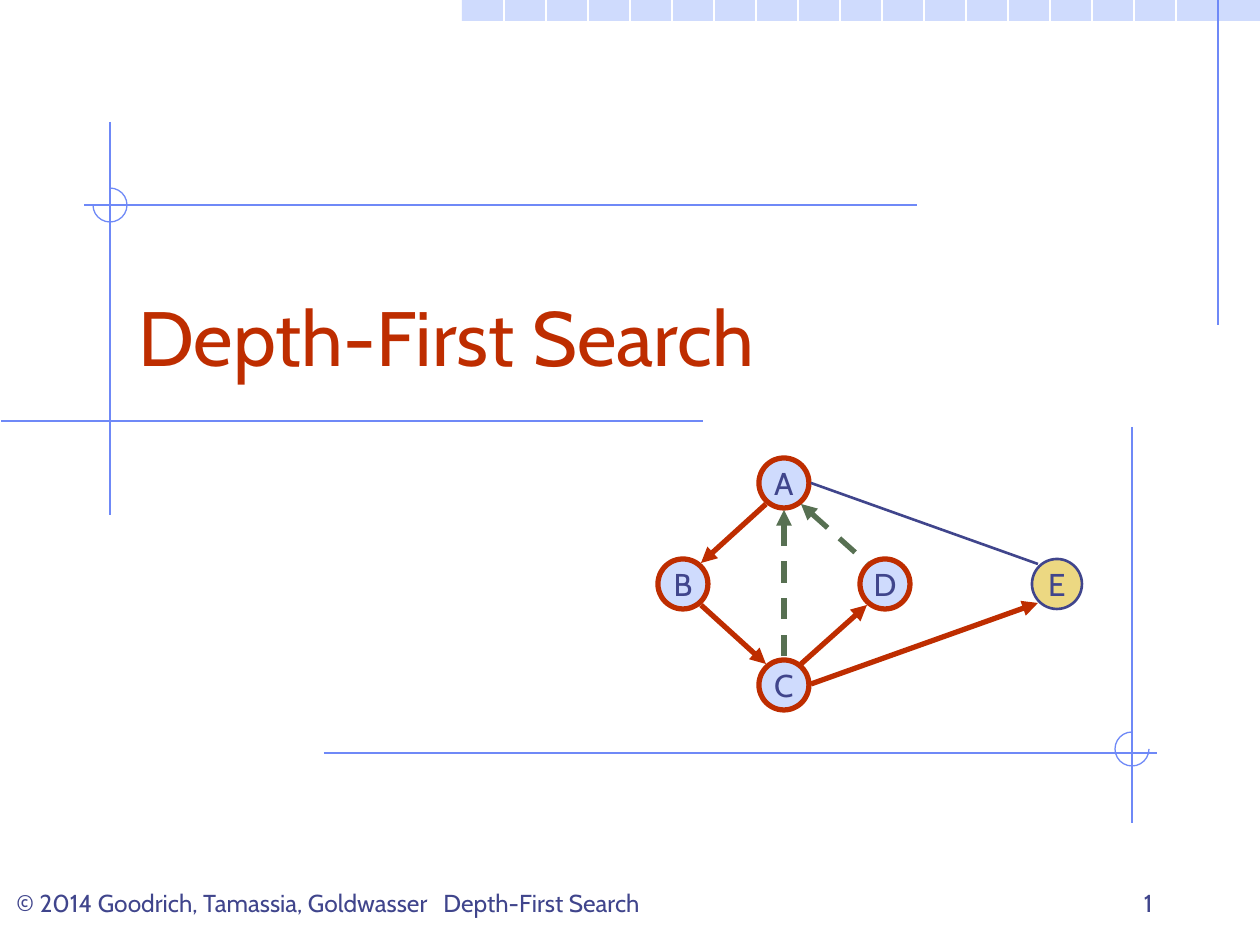
import lxml.etree
import pptx
import pptx.dml.color
import pptx.enum.dml
import pptx.enum.shapes
import pptx.enum.text
import pptx.oxml.ns
import pptx.util

SHAPES = pptx.enum.shapes.MSO_SHAPE
ALIGN = pptx.enum.text.PP_ALIGN
ANCHOR = pptx.enum.text.MSO_ANCHOR
DASH = pptx.enum.dml.MSO_LINE.DASH
SLIDE_WIDTH, SLIDE_HEIGHT = 1260, 945


class Theme:
    font = "Cabin"
    band, rule, grid = "CFDBFD", "6F89F7", "FFFFFF"
    accent, ink, back, unvisited = "BE2D00", "40458C", "577052", "ECD882"
    title_size, label_size, footer_size = 44, 18, 14
    thin, medium, thick = 0.75, 1.5, 3


def px(pixels):
    return pptx.util.Emu(pixels * 914400 // 126)


def rgb(value):
    return pptx.dml.color.RGBColor.from_string(value)


def set_line(line, color, width):
    line.color.rgb = rgb(color)
    line.width = pptx.util.Pt(width)


def write_text(frame, text, *, size, color, align=ALIGN.LEFT,
               anchor=ANCHOR.BOTTOM, wrap=True, margins=None):
    frame.word_wrap = wrap
    frame.vertical_anchor = anchor
    if margins is not None:
        frame.margin_left = frame.margin_right = px(margins)
        frame.margin_top = frame.margin_bottom = px(margins)
    paragraph = frame.paragraphs[0]
    paragraph.alignment = align
    run = paragraph.add_run()
    run.text = text
    run.font.name = Theme.font
    run.font.size = pptx.util.Pt(size)
    run.font.color.rgb = rgb(color)


def add_text(slide, box, text, **text_format):
    shape = slide.shapes.add_textbox(*map(px, box))
    write_text(shape.text_frame, text, **text_format)


def add_shape(slide, kind, box, fill=None, line=None, width=Theme.thin):
    shape = slide.shapes.add_shape(kind, *map(px, box))
    shape.shadow.inherit = False
    if fill:
        shape.fill.solid()
        shape.fill.fore_color.rgb = rgb(fill)
    else:
        shape.fill.background()
    if line:
        set_line(shape.line, line, width)
    else:
        shape.line.fill.background()
    return shape


def add_line(slide, start, end, color, width=Theme.thin, dash=None, arrow=None):
    """Draw a line; arrow is "headEnd" (at start) or "tailEnd" (at end)."""
    connector = slide.shapes.add_connector(
        pptx.enum.shapes.MSO_CONNECTOR.STRAIGHT, *map(px, (*start, *end)))
    set_line(connector.line, color, width)
    if dash:
        connector.line.dash_style = dash
    qn = pptx.oxml.ns.qn
    properties = connector._element.spPr
    if arrow:
        lxml.etree.SubElement(properties.find(qn("a:ln")), qn("a:" + arrow), type="triangle")
    lxml.etree.SubElement(properties, qn("a:effectLst"))


def add_band(slide, left, top, width, height, step=42):
    """Top band, divided by the slide's vertical grid lines."""
    add_shape(slide, SHAPES.RECTANGLE, (left, top, width, height), Theme.band)
    for x in range(left + step, left + width - step, step):
        add_line(slide, (x, top), (x, SLIDE_HEIGHT), Theme.grid)


def add_corner(slide, center, horizontal, vertical, arc_degrees, circle_y, radius=17):
    """Two crossing rules with a three-quarter circle at the crossing."""
    x, y = center
    add_line(slide, (horizontal[0], y), (horizontal[1], y), Theme.rule)
    add_line(slide, (x, vertical[0]), (x, vertical[1]), Theme.rule)
    arc = add_shape(slide, SHAPES.ARC,
                    (x - radius, circle_y - radius, 2 * radius, 2 * radius),
                    line=Theme.rule)
    for index, degrees in enumerate(arc_degrees):
        arc.adjustments[index] = degrees * 0.6  # 60000ths of a degree over 100000


def add_graph(slide, left, top):
    step, diameter = 101, 50
    tree = dict(color=Theme.accent, width=Theme.thick, arrow="tailEnd")
    back = dict(color=Theme.back, width=Theme.thick, dash=DASH, arrow="headEnd")
    plain = dict(color=Theme.ink, width=Theme.medium)
    visited = (Theme.band, Theme.accent, Theme.thick)
    nodes = [
        ("D", 2 * step, step, visited),
        ("B", 0, step, visited),
        ("A", step, 0, visited),
        ("C", step, 2 * step, visited),
        ("E", 374, step, (Theme.unvisited, Theme.ink, Theme.medium)),
    ]
    edges = [
        ((108, 46), (43, 105), tree),     # A to B
        ((43, 147), (108, 206), tree),    # B to C
        ((143, 206), (209, 147), tree),   # C to D
        ((143, 46), (209, 105), back),    # D back to A
        ((126, 52), (126, 198), back),    # C back to A
        ((153, 226), (380, 145), tree),   # C to E
        ((380, 106), (153, 25), plain),   # E with A
    ]
    for label, x, y, style in nodes:
        node = add_shape(slide, SHAPES.OVAL,
                         (left + x, top + y, diameter, diameter), *style)
        write_text(node.text_frame, label, size=Theme.label_size, color=Theme.ink,
                   align=ALIGN.CENTER, anchor=ANCHOR.MIDDLE, wrap=False, margins=0)
    for start, end, style in edges:
        add_line(slide, (left + start[0], top + start[1]),
                 (left + end[0], top + end[1]), **style)


def add_footer(slide, left, top):
    style = dict(size=Theme.footer_size, color=Theme.ink)
    add_text(slide, (left, top + 21, 469, 43), "© 2014 Goodrich, Tamassia, Goldwasser",
             anchor=ANCHOR.TOP, **style)
    add_text(slide, (left + 427, top, 399, 63), "Depth-First Search", **style)
    add_text(slide, (left + 899, top, 262, 63), "1", align=ALIGN.RIGHT, **style)


def build_title_slide(presentation):
    slide = presentation.slides.add_slide(presentation.slide_layouts[6])
    # Decoration
    add_band(slide, 462, 0, 798, 21)
    add_line(slide, (1218, 0), (1218, 325), Theme.rule)
    add_line(slide, (703, 421), (1, 421), Theme.rule)
    add_corner(slide, (110, 205), (917, 84), (122, 515), (270, 180), circle_y=205)
    add_corner(slide, (1132, 753), (324, 1157), (427, 823), (0, 270), circle_y=749)
    # Content
    add_footer(slide, 4, 861)
    add_text(slide, (126, 231, 1071, 157), "Depth-First Search",
             size=Theme.title_size, color=Theme.accent)
    add_graph(slide, 658, 458)


presentation = pptx.Presentation()
presentation.slide_width = px(SLIDE_WIDTH)
presentation.slide_height = px(SLIDE_HEIGHT)
build_title_slide(presentation)
presentation.save("out.pptx")
